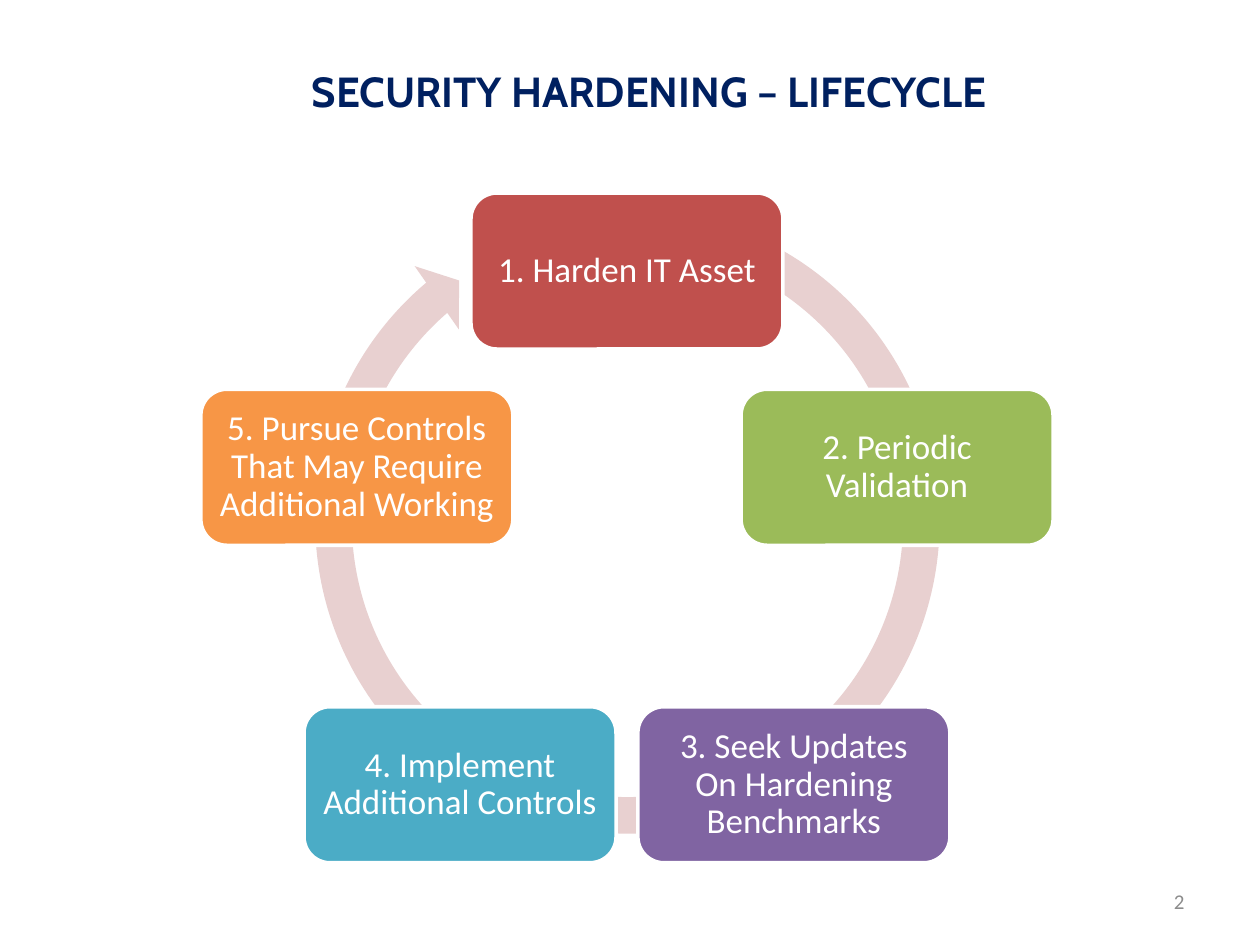
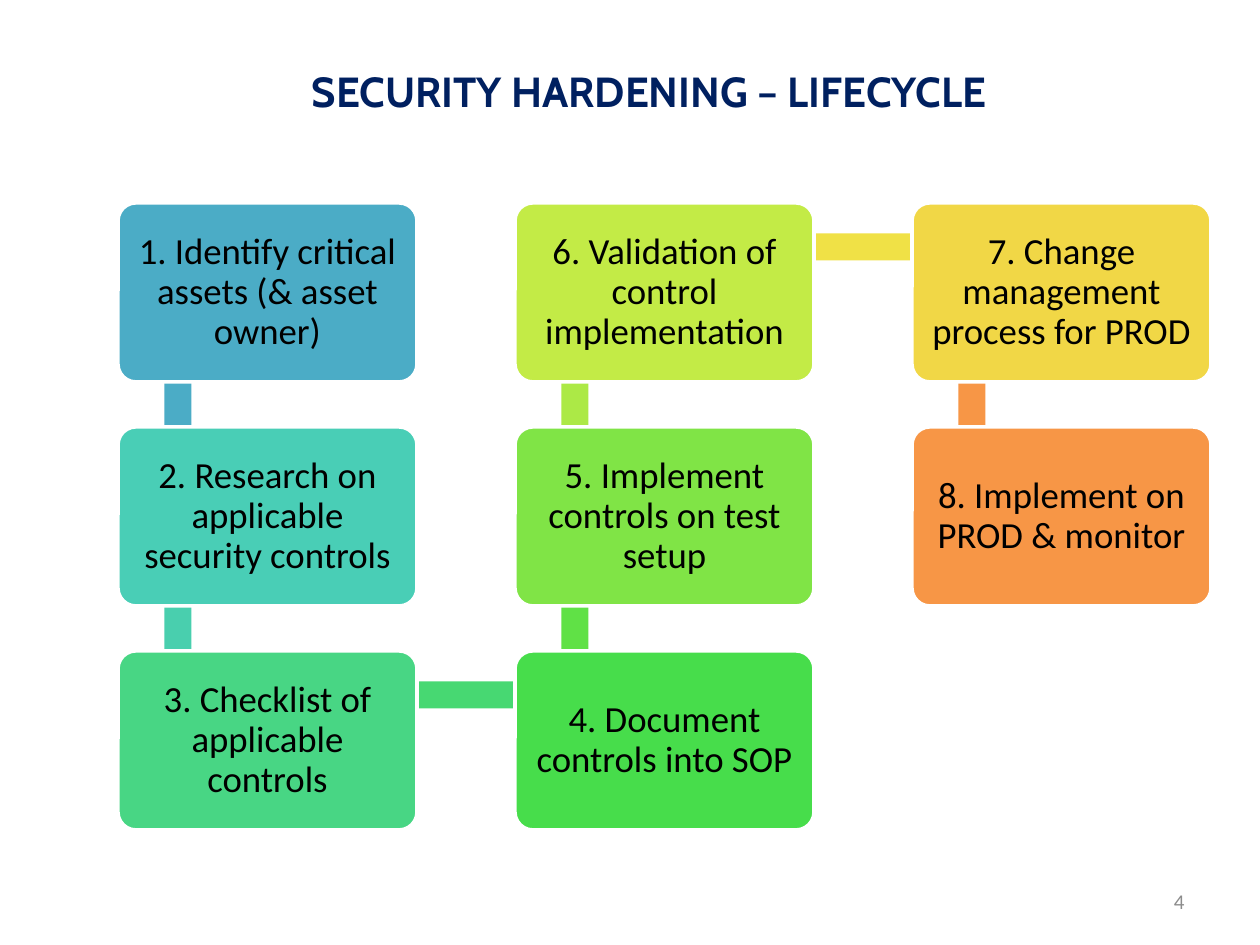
import math

from pptx import Presentation
from pptx.dml.color import RGBColor
from pptx.enum import shapes, text
from pptx import util as u

EMU_PER_PX = u.Inches(1) / 126
TITLE = "SECURITY HARDENING – LIFECYCLE"
TITLE_FONT, BODY_FONT = "Cabin", "Calibri"
COLORS = {
    "white": "FFFFFF", "black": "000000", "navy": "002060", "gray": "8C8C8C",
    "blush": "E8D0D0", "red": "C0504D", "olive": "9BBB59", "purple": "8064A2",
    "blue": "4BACC6", "orange": "F79646", "turquoise": "49CEB6",
    "seafoam": "49CFAE", "emerald": "48D684", "mint": "47D872",
    "green": "47DD4B", "grass": "60E146", "lime": "80E446", "pear": "ACE946",
    "citron": "C3EB46", "lemon": "F0E146", "gold": "F1D746",
}

# Label and fill, clockwise from the top
CYCLE_STAGES = [
    ("1. Harden IT Asset", "red"),
    ("2. Periodic Validation", "olive"),
    ("3. Seek Updates On Hardening Benchmarks", "purple"),
    ("4. Implement Additional Controls", "blue"),
    ("5. Pursue Controls That May Require Additional Working", "orange"),
]

# Label, fill, colour of the link to the next step, column, row
PROCESS_STEPS = [
    ("1. Identify critical assets (& asset owner)", "blue", "blue", 0, 0),
    ("2. Research on applicable security controls", "turquoise", "seafoam", 0, 1),
    ("3. Checklist of applicable controls", "emerald", "mint", 0, 2),
    ("4. Document controls into SOP", "green", "grass", 1, 2),
    ("5. Implement controls on test setup", "lime", "pear", 1, 1),
    ("6. Validation of control implementation", "citron", "lemon", 1, 0),
    ("7. Change management process for PROD", "gold", "orange", 2, 0),
    ("8. Implement on PROD & monitor", "orange", None, 2, 1),
]


def px(value):
    return u.Emu(round(value * EMU_PER_PX))


def rgb(name):
    return RGBColor.from_string(COLORS[name])


class Deck:
    def __init__(self):
        self.presentation = Presentation()
        self.presentation.slide_width = px(1260)
        self.presentation.slide_height = px(945)
        self.slide = None

    def add_slide(self, title, number):
        layout = self.presentation.slide_layouts[5]
        self.slide = self.presentation.slides.add_slide(layout)
        shape = self.slide.shapes.title
        shape.left, shape.top, shape.width, shape.height = map(px, (82, 29, 1134, 123))
        self.set_text(shape, title, 24, "navy", font=TITLE_FONT, bold=True)
        box = self.slide.shapes.add_textbox(*map(px, (903, 876, 294, 50)))
        self.set_text(box, number, 12, "gray", align=text.PP_ALIGN.RIGHT)

    def set_text(self, shape, content, size, color, font=BODY_FONT, bold=False,
                 align=text.PP_ALIGN.CENTER):
        frame = shape.text_frame
        frame.text = content
        frame.word_wrap = True
        frame.vertical_anchor = text.MSO_ANCHOR.MIDDLE
        paragraph = frame.paragraphs[0]
        paragraph.alignment = align
        for run in paragraph.runs:
            run.font.name, run.font.size, run.font.bold = font, u.Pt(size), bold
            run.font.color.rgb = rgb(color)

    def shape(self, kind, left, top, width, height, fill, adjustments=()):
        """Add a filled preset shape without outline or shadow."""
        shape = self.slide.shapes.add_shape(kind, *map(px, (left, top, width, height)))
        shape.shadow.inherit = False
        shape.fill.solid()
        shape.fill.fore_color.rgb = rgb(fill)
        shape.line.fill.background()
        for index, value in enumerate(adjustments):
            shape.adjustments[index] = value
        return shape

    def card(self, left, top, width, height, label, fill, size, color, adjustments=()):
        """Add a rounded, white-edged box with a centred label."""
        shape = self.shape(shapes.MSO_SHAPE.ROUNDED_RECTANGLE,
                           left, top, width, height, fill, adjustments)
        shape.line.color.rgb = rgb("white")
        shape.line.width = u.Pt(2)
        self.set_text(shape, label, size, color)
        frame = shape.text_frame
        frame.margin_left = frame.margin_right = px(10)
        frame.margin_top = frame.margin_bottom = px(10)
        frame.paragraphs[0].line_spacing = 0.9

    def link(self, start, end, fill, thickness=27):
        """Add a horizontal or vertical bar between two points."""
        (x1, y1), (x2, y2) = start, end
        half = thickness / 2
        if x1 == x2:
            area = x1 - half, min(y1, y2), thickness, abs(y2 - y1)
        else:
            area = min(x1, x2), y1 - half, abs(x2 - x1), thickness
        self.shape(shapes.MSO_SHAPE.RECTANGLE, *area, fill)


def add_cycle(deck):
    deck.add_slide(TITLE, "2")
    deck.shape(shapes.MSO_SHAPE.CIRCULAR_ARROW, 295, 189, 665, 665, "blush",
               (0.055, 3.307, 137.73, 173.878, 0.058))
    center_x, center_y, radius = 627, 555, 284
    width, height = 312, 156
    for index, (label, fill) in enumerate(CYCLE_STAGES):
        angle = math.tau * index / len(CYCLE_STAGES)
        x = center_x + radius * math.sin(angle)
        y = center_y - radius * math.cos(angle)
        deck.card(x - width / 2, y - height / 2, width, height, label, fill, 20, "white")


def add_process(deck):
    deck.add_slide(TITLE, "4")
    corners = [(118 + 397 * column, 203 + 224 * row)
               for *_, column, row in PROCESS_STEPS]
    anchors = [(left + 60, top + 44) for left, top in corners]
    for index, (label, fill, link_fill, *_) in enumerate(PROCESS_STEPS):
        if link_fill:
            deck.link(anchors[index], anchors[index + 1], link_fill)
        deck.card(*corners[index], 299, 179, label, fill, 21, "black", (0.1,))


def main():
    deck = Deck()
    add_cycle(deck)
    add_process(deck)
    deck.presentation.save("out.pptx")


if __name__ == "__main__":
    main()
